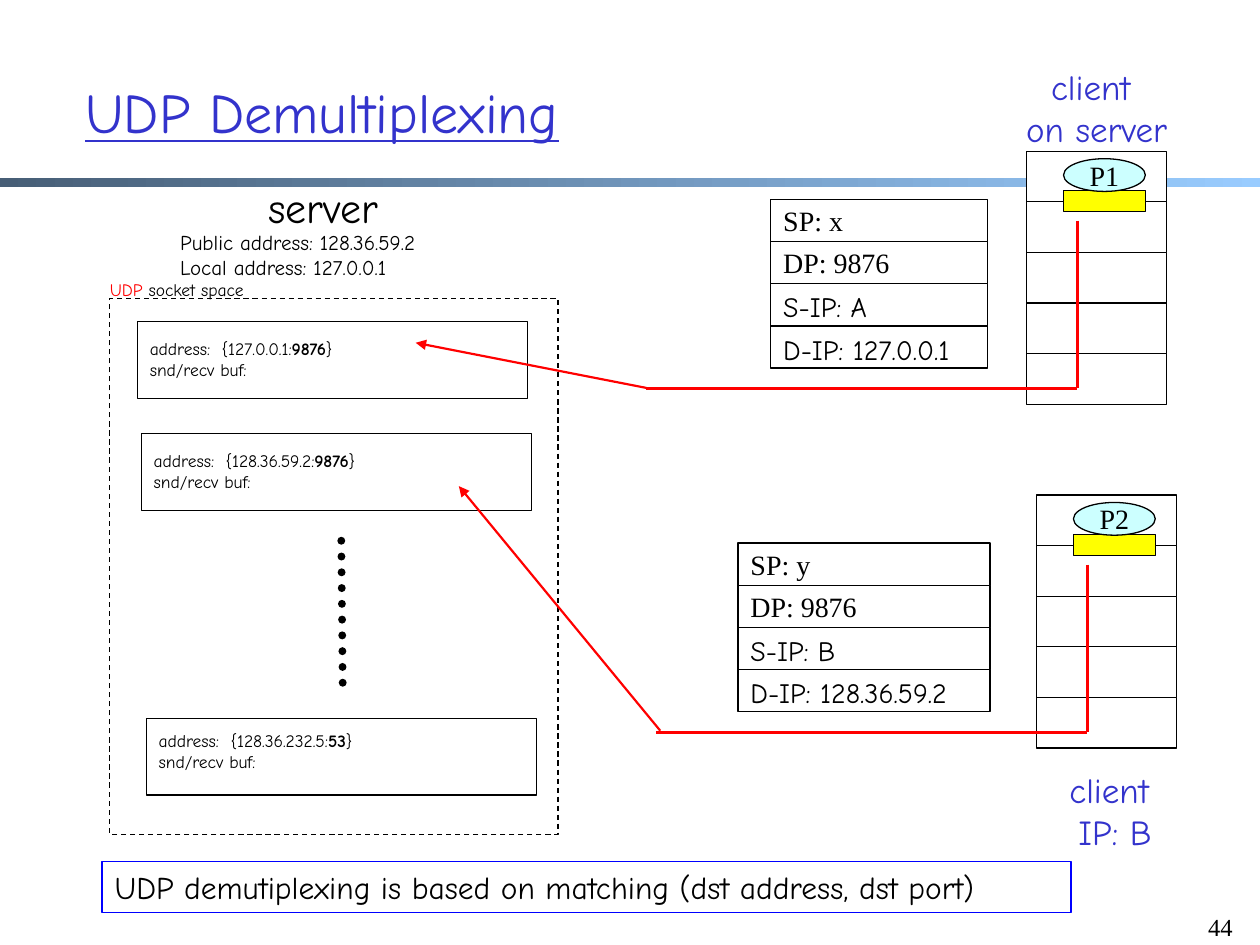
"""Build the UDP demultiplexing slide."""
from lxml.etree import SubElement
from pptx import Presentation
from pptx.dml.color import RGBColor
from pptx.enum.dml import MSO_LINE_DASH_STYLE as Dash
from pptx.enum.shapes import MSO_CONNECTOR as Connector, MSO_SHAPE as Shape
from pptx.enum.text import MSO_ANCHOR as Anchor, PP_ALIGN as Align
from pptx.oxml.ns import qn
from pptx.util import Cm, Pt

COLORS = {"black": "000000", "white": "FFFFFF", "title": "3333CC", "red": "FF0000",
          "blue": "0000FF", "yellow": "FFFF00", "process": "CCFFFF",
          "bar_start": "475E76", "bar_end": "99CCFF"}
RGB = {name: RGBColor.from_string(value) for name, value in COLORS.items()}
COMIC, TIMES = "Comic Neue", "Times New Roman"

presentation = Presentation()
presentation.slide_width, presentation.slide_height = Cm(25.4), Cm(19.05)
slide = presentation.slides.add_slide(presentation.slide_layouts[6])


def add_box(at, paragraphs=(), kind=None, fill=None, line=None, size=10, font=COMIC,
            color="black", align=Align.LEFT, tab=None, **frame_format):
    lengths = [Cm(value) for value in at]
    if kind is None:
        shape = slide.shapes.add_textbox(*lengths)
    else:
        shape = slide.shapes.add_shape(kind, *lengths)
        shape.shadow.inherit = False
        if fill:
            shape.fill.solid()
            shape.fill.fore_color.rgb = RGB[fill]
        else:
            shape.fill.background()
        if line:
            shape.line.color.rgb = RGB[line]
            shape.line.width = Pt(0.75)
        else:
            shape.line.fill.background()
    frame = shape.text_frame
    settings = {"word_wrap": True, "vertical_anchor": Anchor.TOP, **frame_format}
    for name, value in settings.items():
        setattr(frame, name, value)
    for index, runs in enumerate(paragraphs):
        paragraph = frame.add_paragraph() if index else frame.paragraphs[0]
        paragraph.alignment = align
        if tab:
            tabs = SubElement(paragraph._p.get_or_add_pPr(), qn("a:tabLst"))
            SubElement(tabs, qn("a:tab"), pos=str(Cm(tab)), algn="l")
        for text, run_format in runs:
            run = paragraph.add_run()
            run.text = text
            run.font.color.rgb = RGB[run_format.get("color", color)]
            font_format = {"name": font, "size": Pt(size), "bold": run_format.get("bold"),
                           "underline": run_format.get("underline")}
            for name, value in font_format.items():
                setattr(run.font, name, value)
    return shape


def add_line(start, end, color="red", width=1.5, arrow=False):
    line = slide.shapes.add_connector(Connector.STRAIGHT, *[Cm(value) for value in start + end])
    line.line.color.rgb = RGB[color]
    line.line.width = Pt(width)
    if arrow:
        SubElement(line.get_or_add_ln(), qn("a:headEnd"), type="triangle")
    SubElement(line._element.spPr, qn("a:effectLst"))
    return line


bar = add_box((0, 3.58, 25.4, 0.2), kind=Shape.RECTANGLE)
bar.fill.gradient()
bar.fill.gradient_angle = 0
for stop, name in zip(bar.fill.gradient_stops, ("bar_start", "bar_end")):
    stop.color.rgb = RGB[name]

add_box((23.83, 18.26, 1.27, 0.75), [[("44", {})]], size=14, font=TIMES, align=Align.RIGHT)
add_box((1.47, 0.66, 22.96, 3.18), [[("UDP Demultiplexing", {"underline": True})]],
        size=32, color="title", vertical_anchor=Anchor.MIDDLE)
add_box((4.88, 3.53, 3.27, 1.27), [[("server", {})]], size=24, align=Align.CENTER,
        vertical_anchor=Anchor.MIDDLE)
add_box((3.38, 4.5, 5.97, 1.3),
        [[("Public address: 128.36.59.2", {})], [("Local address: 127.0.0.1", {})]], size=12)
add_box((1.85, 5.51, 3.43, 0.69), [[("UDP", {"color": "red"}), (" socket space", {})]],
        align=Align.CENTER)

socket_space = add_box((2.21, 6.02, 9.04, 10.8), kind=Shape.RECTANGLE, line="black")
socket_space.line.dash_style = Dash.DASH

sockets = [(2.77, 6.48, "127.0.0.1", "9876", 0.33),
           (2.85, 8.74, "128.36.59.2", "9876", 0.33),
           (2.95, 14.48, "128.36.232.5", "53", 0.23)]
for left, top, address, port, margin in sockets:
    add_box((left, top, 7.87, 1.55),
            [[(f"address:\t{{{address}:", {}), (port, {"bold": True}), ("}", {})],
             [("snd/recv buf:", {})]],
            kind=Shape.RECTANGLE, line="black", tab=1.45, margin_top=Cm(margin))

more_sockets = add_line((6.88, 10.9), (6.91, 13.94), color="black", width=4.5)
more_sockets.line.dash_style = Dash.ROUND_DOT
more_sockets.get_or_add_ln().set("cap", "rnd")

add_box((2.06, 17.37, 19.53, 1.02),
        [[("UDP demutiplexing is based on matching (dst address, dst port)", {})]],
        kind=Shape.RECTANGLE, line="blue", size=18)

clients = [
    {"left": 20.7, "top": 3.05, "process": "P1", "label": ("client", " on server"),
     "label_at": (20.07, 1.19, 3.84, 1.96), "packet_left": 15.54, "packet_width": 4.37,
     "fields": ("SP: x", "DP: 9876", "S-IP: A", "D-IP: 127.0.0.1"),
     "arrow_tip": (8.38, 6.91), "arrow_end": (13.03, 7.82)},
    {"left": 20.9, "top": 9.98, "process": "P2", "label": ("client", " IP: B"),
     "label_at": (21.18, 15.37, 2.36, 1.96), "packet_left": 14.88, "packet_width": 5.08,
     "fields": ("SP: y", "DP: 9876", "S-IP: B", "D-IP: 128.36.59.2"),
     "arrow_tip": (9.25, 9.8), "arrow_end": (13.31, 14.73)},
]
for client in clients:
    left, top = client["left"], client["top"]
    for layer in range(5):
        add_box((left, top + layer * 1.02, 2.82, 1.02), kind=Shape.RECTANGLE,
                fill="white", line="black")
    add_box((left + 0.74, top + 0.79, 1.65, 0.43), kind=Shape.RECTANGLE,
            fill="yellow", line="black")
    add_box((left + 0.74, top + 0.15, 1.65, 0.66), [[(client["process"], {})]],
            kind=Shape.OVAL, fill="process", line="black", size=16, font=TIMES,
            align=Align.CENTER, vertical_anchor=Anchor.MIDDLE, word_wrap=False,
            margin_left=0, margin_right=0)
    add_box(client["label_at"], [[(text, {})] for text in client["label"]],
            size=20, color="title", align=Align.CENTER)

    for row, field in enumerate(client["fields"]):
        is_port = row < 2
        add_box((client["packet_left"], top + 0.97 + row * 0.85, client["packet_width"], 0.85),
                [[(field, {})]], kind=Shape.RECTANGLE, fill="white", line="black", size=16,
                font=TIMES if is_port else COMIC,
                vertical_anchor=Anchor.MIDDLE if is_port else Anchor.TOP)

    wire, turn = left + 1.02, top + 4.78
    add_line((wire, top + 1.4), (wire, turn))
    add_line((left - 7.67, turn), (wire, turn))
    add_line(client["arrow_tip"], client["arrow_end"], width=1.25, arrow=True)

presentation.save("out.pptx")
